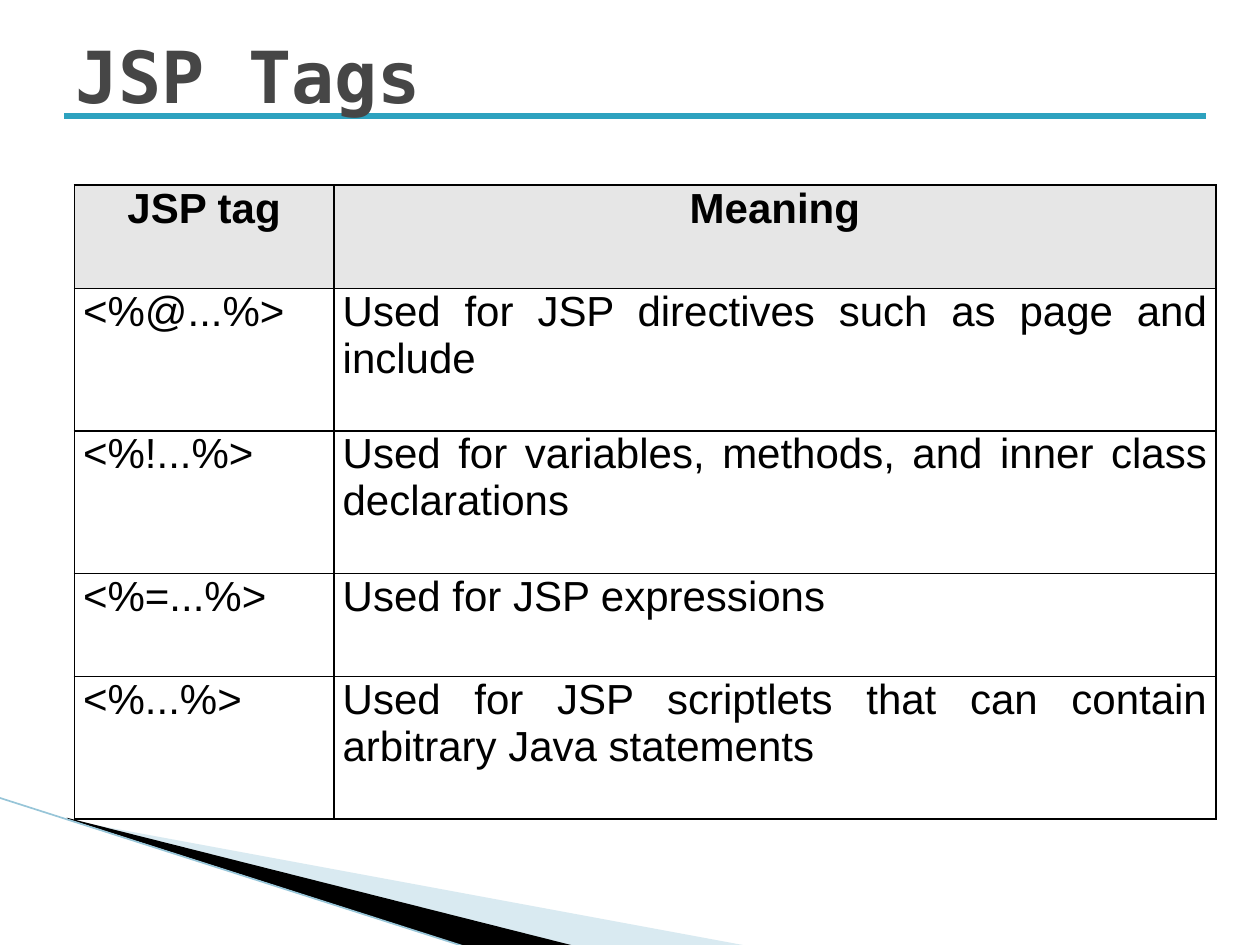
from lxml import etree
from pptx import Presentation
from pptx.dml.color import RGBColor
from pptx.enum.shapes import MSO_CONNECTOR
from pptx.enum.text import MSO_ANCHOR, MSO_AUTO_SIZE, PP_ALIGN
from pptx.oxml.ns import qn
from pptx.util import Inches, Pt

TAGS = [
    ("JSP tag", "Meaning"),
    ("<%@...%>", "Used for JSP directives such as page and include"),
    ("<%!...%>", "Used for variables, methods, and inner class declarations"),
    ("<%=...%>", "Used for JSP expressions"),
    ("<%...%>", "Used for JSP scriptlets that can contain arbitrary Java statements"),
]
COLUMN_WIDTHS = (2.06, 7)
ROW_HEIGHTS = (0.82, 1.13, 1.13, 0.82, 1.13)


def rgb(value):
    return RGBColor.from_string(value)


def style_font(font, name, size, color, bold):
    font.name, font.size, font.bold = name, Pt(size), bold
    font.color.rgb = rgb(color)


def add_line(slide, start, end, color, width):
    line = slide.shapes.add_connector(
        MSO_CONNECTOR.STRAIGHT, *(Inches(v) for v in (*start, *end)))
    line.line.color.rgb = rgb(color)
    line.line.width = Pt(width)
    etree.SubElement(line._element.spPr, qn("a:effectLst"))


def add_wedge(slide, left, top, points, color, opacity=100):
    """Fill a polygon whose points are offsets from (left, top)."""
    corners = [(Inches(left + x), Inches(top + y)) for x, y in points]
    builder = slide.shapes.build_freeform(*corners[0])
    builder.add_line_segments(corners[1:], close=True)
    wedge = builder.convert_to_shape()
    wedge.shadow.inherit = False
    wedge.fill.solid()
    wedge.fill.fore_color.rgb = rgb(color)
    wedge.line.fill.background()
    if opacity < 100:
        fill_color = wedge._element.spPr.find(qn("a:solidFill"))[0]
        etree.SubElement(fill_color, qn("a:alpha"), val=str(opacity * 1000))


def add_corner_sweep(slide, left, top):
    add_wedge(slide, left + 0.55, top + 0.17,
              [(0, 0.01), (5.4, 1.01), (4.01, 1.01), (0, 0)], "A0CBDC", 40)
    add_wedge(slide, left + 0.53, top + 0.16,
              [(0, 0), (4.04, 1.02), (3.19, 1.03), (0.01, 0.01)], "000000")
    add_line(slide, (left - 0.01, top), (left + 3.71, top + 1.19), "97C5D8", 0.95)


def add_title(slide, left, top, width, height):
    add_line(slide, (left + 0.01, top + 0.95), (left + 9.07, top + 0.95), "2DA2BF", 3)
    title = slide.shapes.title
    title.left, title.top = Inches(left), Inches(top)
    title.width, title.height = Inches(width), Inches(height)
    frame = title.text_frame
    frame.text = "JSP Tags"
    frame.auto_size = MSO_AUTO_SIZE.NONE
    frame.vertical_anchor = MSO_ANCHOR.MIDDLE
    frame.paragraphs[0].alignment = PP_ALIGN.LEFT
    style_font(frame.paragraphs[0].runs[0].font, "DejaVu Sans Mono", 41, "464646", True)
    # The title's descender lies over the rule, so bring the title to the front.
    slide.shapes._spTree.append(title._element)


def add_borders(cell, color, width):
    properties = cell._tc.get_or_add_tcPr()
    for index, side in enumerate(("lnL", "lnR", "lnT", "lnB")):
        border = etree.Element(qn(f"a:{side}"), w=str(Pt(width)))
        fill = etree.SubElement(border, qn("a:solidFill"))
        etree.SubElement(fill, qn("a:srgbClr"), val=color)
        properties.insert(index, border)


def fill_cell(cell, text, is_header):
    cell.margin_left = cell.margin_right = Inches(0.07)
    cell.margin_top = cell.margin_bottom = 0
    if is_header:
        cell.fill.solid()
        cell.fill.fore_color.rgb = rgb("E6E6E6")
    else:
        cell.fill.background()
    add_borders(cell, "000000", 1)
    cell.text_frame.text = text
    paragraph = cell.text_frame.paragraphs[0]
    paragraph.alignment = PP_ALIGN.CENTER if is_header else PP_ALIGN.JUSTIFY
    paragraph.space_before = paragraph.space_after = Pt(2)
    style_font(paragraph.runs[0].font, "Arial", 24, "000000", is_header)


def add_tag_table(slide, left, top):
    table = slide.shapes.add_table(
        len(TAGS), len(COLUMN_WIDTHS), Inches(left), Inches(top),
        Inches(sum(COLUMN_WIDTHS)), Inches(sum(ROW_HEIGHTS))).table
    table.horz_banding = False
    for column, width in zip(table.columns, COLUMN_WIDTHS):
        column.width = Inches(width)
    for row_index, (row, height) in enumerate(zip(table.rows, ROW_HEIGHTS)):
        row.height = Inches(height)
        for cell, text in zip(row.cells, TAGS[row_index]):
            fill_cell(cell, text, row_index == 0)


def main():
    prs = Presentation()
    prs.slide_width, prs.slide_height = Inches(10), Inches(7.5)
    slide = prs.slides.add_slide(prs.slide_layouts[5])
    add_corner_sweep(slide, 0, 6.33)
    add_tag_table(slide, 0.59, 1.47)
    add_title(slide, 0.5, -0.03, 9, 1.25)
    prs.save("out.pptx")


if __name__ == "__main__":
    main()
